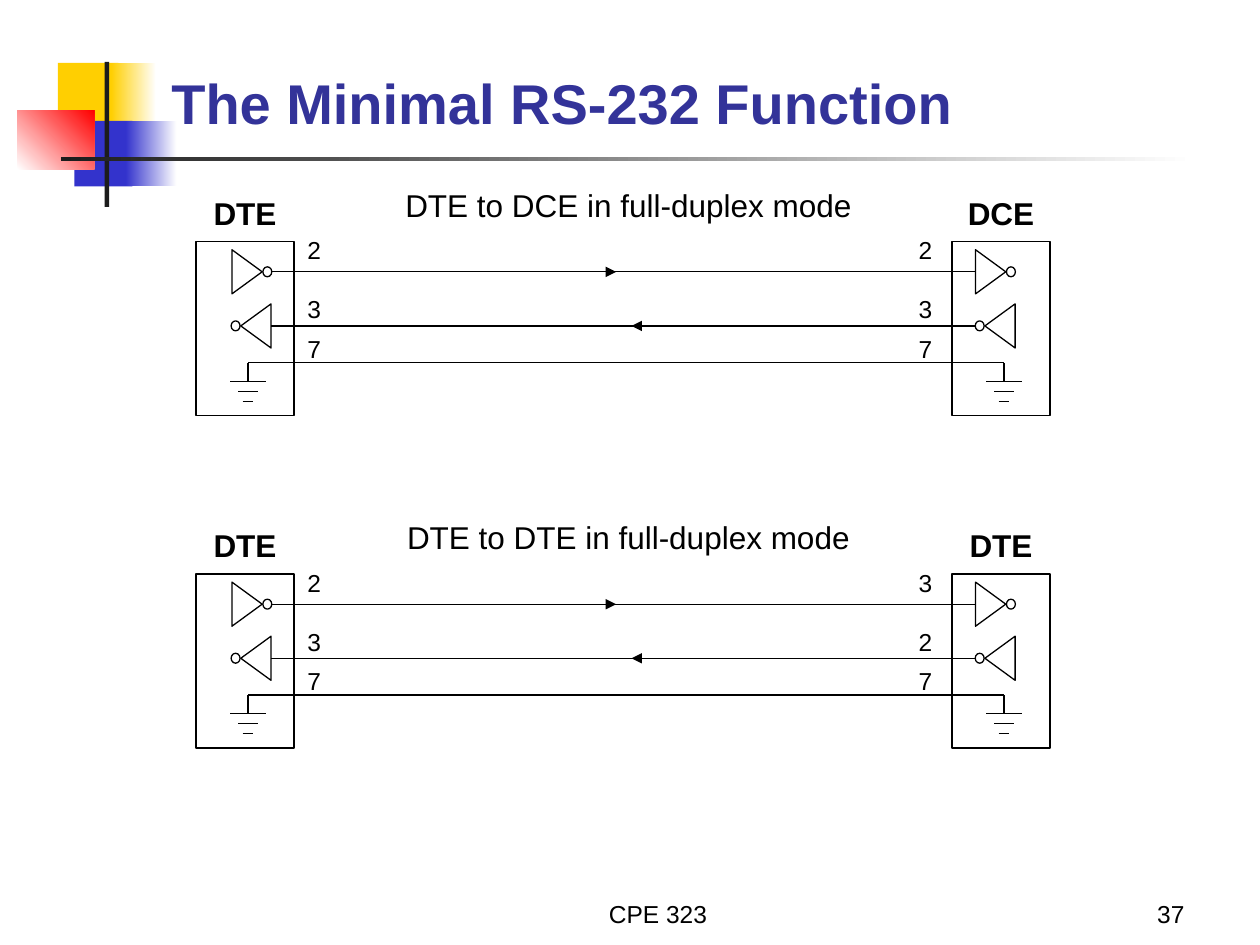
"""Build a slide on the minimal RS-232 function."""
from lxml import etree
from pptx import Presentation
from pptx.dml.color import RGBColor
from pptx.enum.shapes import MSO_CONNECTOR, MSO_SHAPE
from pptx.enum.text import MSO_ANCHOR, MSO_AUTO_SIZE, PP_ALIGN
from pptx.oxml.ns import qn
from pptx.util import Cm, Pt

RECTANGLE, TRIANGLE, OVAL = MSO_SHAPE.RECTANGLE, MSO_SHAPE.ISOSCELES_TRIANGLE, MSO_SHAPE.OVAL
STRAIGHT = MSO_CONNECTOR.STRAIGHT
LEFT, CENTER, RIGHT = PP_ALIGN.LEFT, PP_ALIGN.CENTER, PP_ALIGN.RIGHT
TOP, BOTTOM = MSO_ANCHOR.TOP, MSO_ANCHOR.BOTTOM
NO_AUTOFIT, FIT_SHAPE = MSO_AUTO_SIZE.NONE, MSO_AUTO_SIZE.SHAPE_TO_FIT_TEXT

COLORS = {"black": "000000", "white": "FFFFFF", "yellow": "FFCF01", "blue": "3333CC",
          "red": "FF0000", "charcoal": "1C1C1C", "title": "333399"}
FONT = "Arial"
LINE_WIDTH = 0.75

TITLE = "The Minimal RS-232 Function"
FOOTERS = [("CPE 323", (9.24, 17.58, 8.05, 1.27), CENTER),
           ("37", (18.85, 17.58, 5.28, 1.27), RIGHT)]
DECORATION = [
    ((1.17, 1.27, 1.22, 1.32), ["yellow"], 0),
    ((2.24, 1.27, 0.91, 1.32), ["yellow", "white"], 0),
    ((1.5, 2.44, 1.17, 1.32), ["blue"], 0),
    ((2.54, 2.44, 1.02, 1.32), ["blue", "white"], 0),
    ((0.35, 2.23, 1.55, 1.18), ["white", "red"], 45),
    ((2.11, 1.25, 0.09, 2.92), ["charcoal"], 0),
    ((1.23, 3.16, 22.86, 0.08), ["charcoal", "white"], 0),
]
PANELS = [
    {"caption": "DTE to DCE in full-duplex mode",
     "ends": [("DTE", ["2", "3", "7"]), ("DCE", ["2", "3", "7"])]},
    {"caption": "DTE to DTE in full-duplex mode",
     "ends": [("DTE", ["2", "3", "7"]), ("DTE", ["3", "2", "7"])]},
]

PANEL_TOP, PANEL_STEP = 4.87, 6.7
BOX_LEFTS, BOX_WIDTH, BOX_HEIGHT = (3.95, 19.19), 1.98, 3.51
LABEL_SHIFT, LABEL_WIDTH = -0.11, 2.2
SEND_Y, RECEIVE_Y, GROUND_Y = 0.61, 1.7, 2.44
PIN_LEFTS, PIN_TOPS, PIN_SIZE = (5.94, 18.26), (-0.25, 0.94, 1.73), (0.79, 0.84)
SEND_X, RECEIVE_X = (1.03, 0.78), (1.21, 0.97)
TRIANGLE_SIZE, BUBBLE_SIZE, BUBBLE_OFFSET = (0.89, 0.61), (0.18, 0.2), 0.41
GROUND_X, GROUND_BAR_Y, GROUND_BAR_STEP = 1.05, 2.82, 0.2
GROUND_BARS = (0.72, 0.4, 0.22)
WIRE_LEFT, WIRE_RIGHT = 5.46, 19.68
SEND_ARROW, RECEIVE_ARROW = (11.05, 12.42), (14.1, 12.73)
CAPTION_CENTER, CAPTION_SIZE = 12.67, (9.5, 1.02)

presentation = Presentation()
presentation.slide_width, presentation.slide_height = Cm(25.4), Cm(19.05)
slide = presentation.slides.add_slide(presentation.slide_layouts[5])
shapes = slide.shapes


def color(name):
    return RGBColor.from_string(COLORS[name])


def apply(target, values):
    for name, value in values.items():
        setattr(target, name, value)


def set_text(shape, text, size, align=CENTER, anchor=TOP, bold=False, ink="black",
             wrap=False, fit=FIT_SHAPE):
    frame = shape.text_frame
    frame.text = text
    apply(frame, {"word_wrap": wrap, "auto_size": fit, "vertical_anchor": anchor})
    paragraph = frame.paragraphs[0]
    paragraph.alignment = align
    apply(paragraph.font, {"name": FONT, "size": Pt(size), "bold": bold})
    paragraph.font.color.rgb = color(ink)


def add_text(box, text, size, **options):
    set_text(shapes.add_textbox(*map(Cm, box)), text, size, **options)


def centered(x, y, size):
    return x - size[0] / 2, y - size[1] / 2, *size


def add_outline(kind, box, rotation=0):
    shape = shapes.add_shape(kind, *map(Cm, box))
    shape.shadow.inherit = False
    shape.fill.background()
    shape.line.color.rgb = color("black")
    shape.line.width = Pt(LINE_WIDTH)
    shape.rotation = rotation


def add_line(x1, y1, x2, y2, arrow=False):
    connector = shapes.add_connector(STRAIGHT, Cm(x1), Cm(y1), Cm(x2), Cm(y2))
    connector.line.color.rgb = color("black")
    connector.line.width = Pt(LINE_WIDTH)
    properties = connector.element.spPr
    if arrow:
        etree.SubElement(properties.get_or_add_ln(), qn("a:tailEnd"), type="triangle")
    etree.SubElement(properties, qn("a:effectLst"))


def add_decoration(box, names, angle):
    shape = shapes.add_shape(RECTANGLE, *map(Cm, box))
    shape.shadow.inherit = False
    shape.line.fill.background()
    if len(names) == 1:
        shape.fill.solid()
        shape.fill.fore_color.rgb = color(names[0])
        return
    shape.fill.gradient()
    shape.fill.gradient_angle = angle
    for stop, name in zip(shape.fill.gradient_stops, names):
        stop.color.rgb = color(name)


def add_inverter(x, y, direction):
    add_outline(TRIANGLE, centered(x, y, TRIANGLE_SIZE), 90 if direction > 0 else 270)
    add_outline(OVAL, centered(x + direction * BUBBLE_OFFSET, y, BUBBLE_SIZE))


def add_end(side, top, label, pins):
    left = BOX_LEFTS[side]
    add_outline(RECTANGLE, (left, top, BOX_WIDTH, BOX_HEIGHT))
    add_text((left + LABEL_SHIFT, top - 1.09, LABEL_WIDTH, 1.02), label, 18, bold=True)
    for pin, pin_top in zip(pins, PIN_TOPS):
        add_text((PIN_LEFTS[side], top + pin_top, *PIN_SIZE), pin, 14)
    add_inverter(left + SEND_X[side], top + SEND_Y, 1)
    add_inverter(left + RECEIVE_X[side], top + RECEIVE_Y, -1)
    x = left + GROUND_X
    add_line(x, top + GROUND_BAR_Y, x, top + GROUND_Y)
    for index, width in enumerate(GROUND_BARS):
        y = top + GROUND_BAR_Y + index * GROUND_BAR_STEP
        add_line(x - width / 2, y, x + width / 2, y)


def add_panel(top, panel):
    for side, (label, pins) in enumerate(panel["ends"]):
        add_end(side, top, label, pins)
    ground_ends = [left + GROUND_X for left in BOX_LEFTS]
    for (start, end), y, arrow in [
        ((WIRE_LEFT, WIRE_RIGHT), SEND_Y, False),
        (SEND_ARROW, SEND_Y, True),
        ((WIRE_RIGHT, WIRE_LEFT), RECEIVE_Y, False),
        (RECEIVE_ARROW, RECEIVE_Y, True),
        (ground_ends, GROUND_Y, False),
    ]:
        add_line(start, top + y, end, top + y, arrow)
    width, height = CAPTION_SIZE
    add_text((CAPTION_CENTER - width / 2, top - 1.25, width, height), panel["caption"], 18)


for decoration in DECORATION:
    add_decoration(*decoration)
for text, box, align in FOOTERS:
    add_text(box, text, 14, align=align, anchor=BOTTOM, wrap=True, fit=NO_AUTOFIT)
for index, panel in enumerate(PANELS):
    add_panel(PANEL_TOP + index * PANEL_STEP, panel)

title = shapes.title
apply(title, {"left": Cm(3.2), "top": Cm(0.45), "width": Cm(21.64), "height": Cm(2.41)})
set_text(title, TITLE, 32, align=LEFT, anchor=BOTTOM, bold=True, ink="title",
         wrap=True, fit=NO_AUTOFIT)
shapes.element.append(title.element)

presentation.save("out.pptx")
